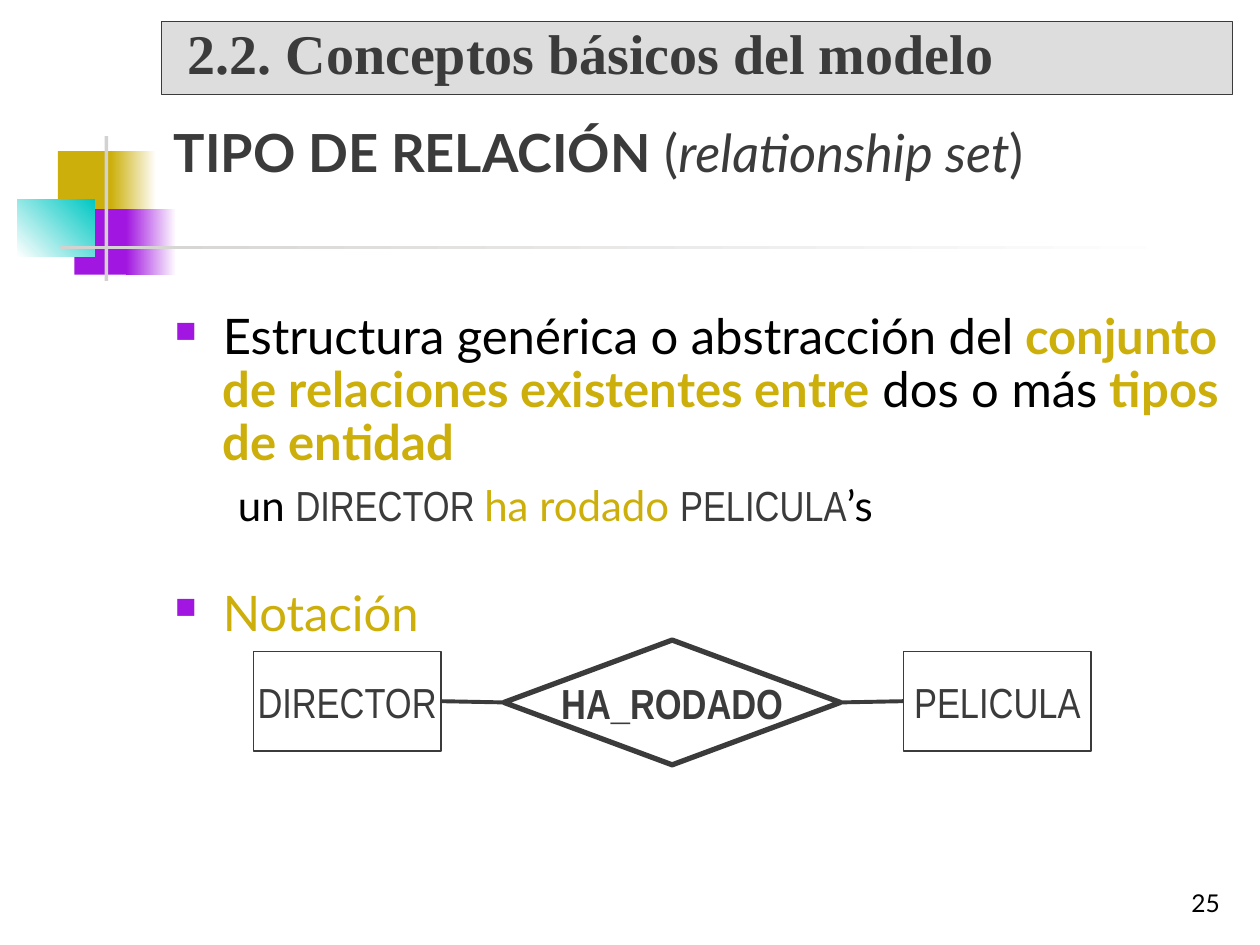
from lxml import etree
from pptx import Presentation
from pptx.dml.color import RGBColor
from pptx.enum.shapes import MSO_CONNECTOR, MSO_SHAPE
from pptx.enum.text import MSO_ANCHOR, PP_ALIGN
from pptx.oxml.ns import qn
from pptx.util import Inches, Pt

RECTANGLE, DIAMOND = MSO_SHAPE.RECTANGLE, MSO_SHAPE.DIAMOND
STRAIGHT = MSO_CONNECTOR.STRAIGHT
MIDDLE, BOTTOM = MSO_ANCHOR.MIDDLE, MSO_ANCHOR.BOTTOM
CENTER, RIGHT = PP_ALIGN.CENTER, PP_ALIGN.RIGHT

GOLD = RGBColor(0xCC, 0xAF, 0x0A)
PURPLE = RGBColor(0xA1, 0x16, 0xE0)
TEAL = RGBColor(0x00, 0xC8, 0xC3)
SILVER = RGBColor(0xD4, 0xD2, 0xD0)
BAND = RGBColor(0xDD, 0xDD, 0xDD)
DARK = RGBColor(0x3B, 0x3B, 0x3B)
BLACK = RGBColor(0, 0, 0)
WHITE = RGBColor(0xFF, 0xFF, 0xFF)
LATO, NARROW, TIMES = "Lato", "Arial Narrow", "Times New Roman"

prs = Presentation()
prs.slide_width, prs.slide_height = Inches(10), Inches(7.5)
slide = prs.slides.add_slide(prs.slide_layouts[6])
shapes = slide.shapes


def add_box(kind, left, top, width, height, fill=None, line_width=None):
    box = shapes.add_shape(kind, Inches(left), Inches(top), Inches(width), Inches(height))
    box.shadow.inherit = False
    if fill is None:
        box.fill.background()
    else:
        box.fill.solid()
        box.fill.fore_color.rgb = fill
    if line_width is None:
        box.line.fill.background()
    else:
        box.line.color.rgb = DARK
        box.line.width = Pt(line_width)
    return box


def add_run(paragraph, text, size, font, color, bold=False, italic=False):
    run = paragraph.add_run()
    run.text = text
    run.font.size, run.font.name = Pt(size), font
    run.font.color.rgb = color
    run.font.bold, run.font.italic = bold, italic


# Corner ornament: left, top, width, height, start colour, end colour, angle
ornament = [
    (0.46, 1.2, 0.48, 0.52, GOLD, None, 0),
    (0.88, 1.2, 0.36, 0.52, GOLD, WHITE, 0),
    (0.59, 1.66, 0.46, 0.52, PURPLE, None, 0),
    (1, 1.66, 0.4, 0.52, PURPLE, WHITE, 0),
    (0.14, 1.58, 0.61, 0.46, WHITE, TEAL, 45),
    (0.83, 1.08, 0.03, 1.15, SILVER, None, 0),
    (0.48, 1.95, 9, 0.03, SILVER, WHITE, 0),
]
for left, top, width, height, start, end, angle in ornament:
    block = add_box(RECTANGLE, left, top, width, height, start)
    if end is not None:
        block.fill.gradient()
        block.fill.gradient_angle = angle
        for stop, color in zip(block.fill.gradient_stops, (start, end)):
            stop.color.rgb = color

# Page number
page_number = shapes.add_textbox(Inches(7.7), Inches(6.83), Inches(2.08), Inches(0.5)).text_frame
page_number.word_wrap = True
page_number.vertical_anchor = BOTTOM
page_number.paragraphs[0].alignment = RIGHT
add_run(page_number.paragraphs[0], "25", 14, LATO, BLACK)

# Title
title = shapes.add_textbox(Inches(1.28), Inches(0.83), Inches(8.5), Inches(0.67)).text_frame
title.word_wrap = True
title.vertical_anchor = BOTTOM
heading = title.paragraphs[0]
add_run(heading, "TIPO DE RELACIÓN", 30, LATO, DARK, bold=True)
add_run(heading, " (", 30, LATO, DARK)
add_run(heading, "relationship set", 30, LATO, DARK, italic=True)
add_run(heading, ")", 30, LATO, DARK)

# Body text
body = shapes.add_textbox(Inches(1.29), Inches(2.43), Inches(8.5), Inches(2.7)).text_frame
body.word_wrap = True
definition = body.paragraphs[0]
definition.line_spacing = 0.9
add_run(definition, "Estructura genérica o abstracción del", 28, LATO, BLACK)
add_run(definition, " conjunto de relaciones existentes entre", 28, LATO, GOLD, bold=True)
add_run(definition, " dos o más ", 28, LATO, BLACK)
add_run(definition, "tipos de entidad", 28, LATO, GOLD, bold=True)

example = body.add_paragraph()
example.level = 1
example.space_before = Pt(4.8)
add_run(example, "un ", 24, LATO, BLACK)
add_run(example, "DIRECTOR ", 24, NARROW, DARK)
add_run(example, "ha rodado ", 24, LATO, GOLD)
add_run(example, "PELICULA", 24, NARROW, DARK)
add_run(example, "’s", 24, LATO, BLACK)

notation = body.add_paragraph()
notation.space_before = Pt(30)
add_run(notation, "Notación", 28, LATO, GOLD)

for paragraph, margin, indent in ((definition, 0.38, -0.38), (example, 0.81, -0.31),
                                  (notation, 0.38, -0.38)):
    properties = paragraph._p.get_or_add_pPr()
    properties.set("marL", str(Inches(margin)))
    properties.set("indent", str(Inches(indent)))

# Square purple bullets
for paragraph in (definition, notation):
    properties = paragraph._p.get_or_add_pPr()
    bullet_color = etree.SubElement(properties, qn("a:buClr"))
    etree.SubElement(bullet_color, qn("a:srgbClr"), val=str(PURPLE))
    etree.SubElement(properties, qn("a:buSzPct"), val="60000")
    etree.SubElement(properties, qn("a:buChar"), char="■")

# Entities of the diagram
entities = []
for name, left in (("DIRECTOR", 2.01), ("PELICULA", 7.17)):
    entity = add_box(RECTANGLE, left, 5.17, 1.49, 0.79, line_width=0.75)
    label = entity.text_frame
    label.word_wrap = False
    label.vertical_anchor = MIDDLE
    label.margin_left = label.margin_right = Inches(0.08)
    label.margin_top = label.margin_bottom = 0
    label.paragraphs[0].alignment = CENTER
    add_run(label.paragraphs[0], name, 24, NARROW, DARK)
    entities.append(entity)
director, film = entities

# Relationship diamond and its label
relationship = add_box(DIAMOND, 4, 5.08, 2.67, 0.99, line_width=3)
relationship_label = shapes.add_textbox(Inches(4.35), Inches(5.37), Inches(1.97), Inches(0.46)).text_frame
relationship_label.word_wrap = False
relationship_label.paragraphs[0].alignment = CENTER
relationship_label.paragraphs[0].line_spacing = 0.9
add_run(relationship_label.paragraphs[0], "HA_RODADO", 24, NARROW, DARK, bold=True)

# Links between the entities and the relationship
for source, target in ((director, relationship), (relationship, film)):
    link = shapes.add_connector(STRAIGHT, 0, 0, 0, 0)
    link.begin_connect(source, 3)
    link.end_connect(target, 1)
    link.line.color.rgb = DARK
    link.line.width = Pt(2.25)
    etree.SubElement(link._element.spPr, qn("a:effectLst"))

# Section band
section = add_box(RECTANGLE, 1.28, 0.17, 8.5, 0.58, BAND, 0.75).text_frame
section.word_wrap = True
section.vertical_anchor = MIDDLE
section_line = section.paragraphs[0]
section_line.alignment = PP_ALIGN.LEFT
section_line.line_spacing = 0.8
section_properties = section_line._p.get_or_add_pPr()
section_properties.set("marL", str(Inches(0.73)))
section_properties.set("indent", str(Inches(-0.73)))
add_run(section_line, " 2.2. Conceptos básicos del modelo", 32, TIMES, DARK, bold=True)

prs.save("out.pptx")
